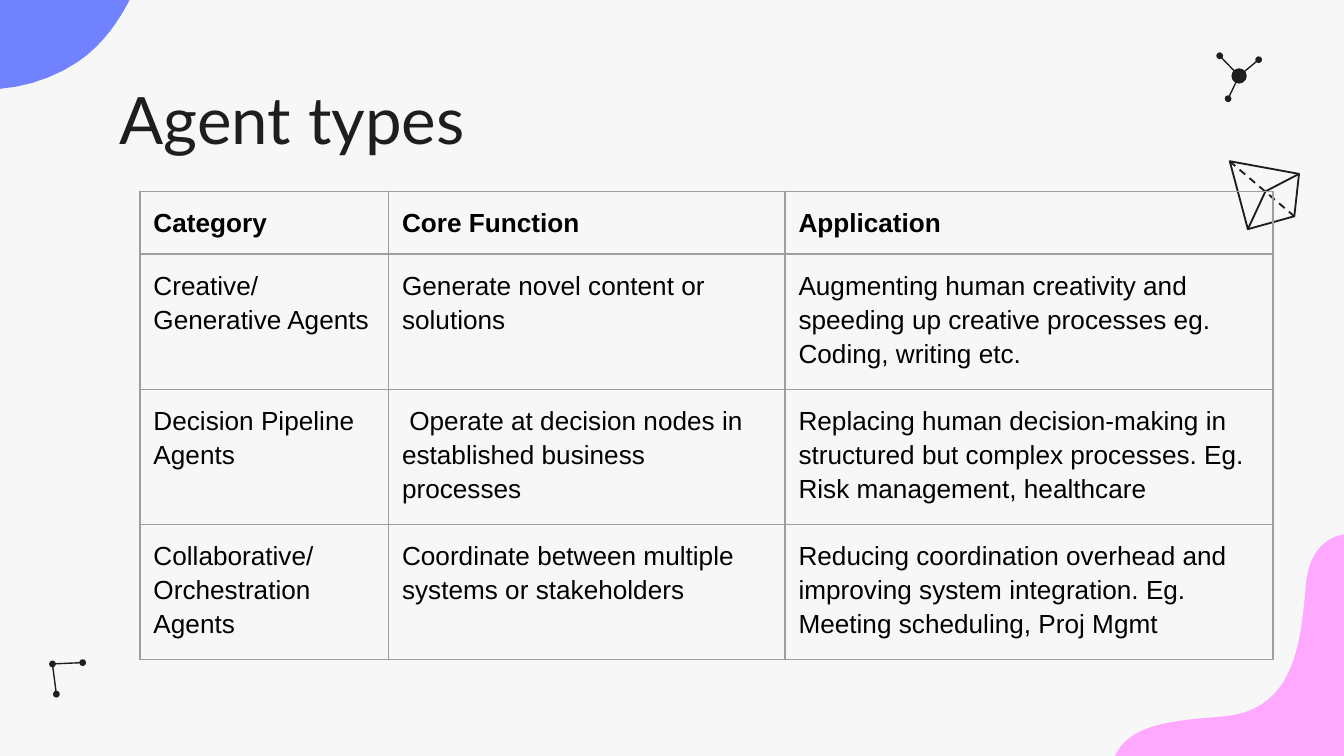
from lxml.etree import SubElement
from pptx import Presentation
from pptx.dml.color import RGBColor
from pptx.enum.dml import MSO_LINE
from pptx.enum.shapes import MSO_CONNECTOR as Connector, MSO_SHAPE as Preset
from pptx.oxml import parse_xml
from pptx.oxml.ns import nsdecls, qn
from pptx.util import Pt

WIDTH, HEIGHT = 720, 405
TITLE_FONT, BODY_FONT = "Lato", "Arial"
PAPER, INK, BLACK, GRID = "F7F7F7", "1F1E1E", "000000", "9E9E9E"
PINK, BLUE = "FFA8FF", "7082FF"

# Blob outline: a start point, then cubic curves (two controls and an end)
BLOB_START = (780.5, 367.9)
BLOB_CURVES = [
    [(779, 339.8), (770.4, 313.9), (755.3, 300.2)],
    [(728.6, 276.5), (702.7, 283.7), (699.8, 311.8)],
    [(697, 340.6), (695.5, 380.2), (655.9, 383.8)],
    [(620.6, 386.6), (592.6, 388.8), (594.7, 423.4)],
    [(594.7, 428.4), (595.4, 434.2), (597.6, 440.6)],
    [(609.8, 488.2), (685.4, 518.4), (737.3, 483.8)],
    [(769, 462.2), (783.4, 411.8), BLOB_START],
]
BLUE_SHIFT = (-695.5, -450.7)

COLUMN_WIDTHS = [133.2, 212.4, 261.4]
ROW_HEIGHTS = [32, 68, 68, 68]
AGENTS = [
    ["Category", "Core Function", "Application"],
    ["Creative/Generative Agents",
     "Generate novel content or solutions",
     "Augmenting human creativity and speeding up creative processes eg. "
     "Coding, writing etc."],
    ["Decision Pipeline Agents",
     " Operate at decision nodes in established business processes",
     "Replacing human decision-making in structured but complex processes. "
     "Eg. Risk management, healthcare"],
    ["Collaborative/Orchestration Agents",
     "Coordinate between multiple systems or stakeholders",
     "Reducing coordination overhead and improving system integration. "
     "Eg. Meeting scheduling, Proj Mgmt"],
]


def color(value):
    return RGBColor.from_string(value)


def write(frame, text, *, font=BODY_FONT, size=14, ink=BLACK, bold=False, spacing=1.0):
    frame.word_wrap = True
    para = frame.paragraphs[0]
    para.line_spacing = spacing
    span = para.add_run()
    span.text = text
    span.font.name, span.font.size, span.font.bold = font, Pt(size), bold
    span.font.color.rgb = color(ink)


def trace(start, curves, shift=(0, 0), steps=20):
    """Turn a chain of cubic curves into a list of points, moved by shift."""
    points = [start]
    for first, second, end in curves:
        origin = points[-1]
        for step in range(1, steps + 1):
            t = step / steps
            weights = ((1 - t) ** 3, 3 * t * (1 - t) ** 2, 3 * t * t * (1 - t), t ** 3)
            anchors = (origin, first, second, end)
            points.append(tuple(sum(w * a[axis] for w, a in zip(weights, anchors))
                                for axis in (0, 1)))
    return [(x + shift[0], y + shift[1]) for x, y in points]


class Painter:
    """Holds the ink colour and the slide being drawn."""

    def __init__(self, page, ink=INK):
        self.page, self.shapes, self.ink = page, page.shapes, ink

    def background(self, fill):
        self.page.background.fill.solid()
        self.page.background.fill.fore_color.rgb = color(fill)

    def paint(self, shape, fill=None, weight=None):
        shape.shadow.inherit = False
        if fill:
            shape.fill.solid()
            shape.fill.fore_color.rgb = color(fill)
        else:
            shape.fill.background()
        if weight:
            shape.line.color.rgb = color(self.ink)
            shape.line.width = Pt(weight)
        else:
            shape.line.fill.background()

    def outline(self, points, closed=True, **style):
        corners = [(Pt(x), Pt(y)) for x, y in points]
        builder = self.shapes.build_freeform(*corners[0], scale=1.0)
        builder.add_line_segments(corners[1:], close=closed)
        self.paint(builder.convert_to_shape(), **style)

    def dot(self, center, size=3.6):
        left, top = (Pt(value - size / 2) for value in center)
        self.paint(self.shapes.add_shape(Preset.OVAL, left, top, Pt(size), Pt(size)),
                   fill=self.ink)

    def line(self, start, end, weight=0.75, dashed=False):
        ends = [Pt(value) for value in (*start, *end)]
        line = self.shapes.add_connector(Connector.STRAIGHT, *ends)
        line.line.color.rgb = color(self.ink)
        line.line.width = Pt(weight)
        if dashed:
            line.line.dash_style = MSO_LINE.DASH
        SubElement(line._element.spPr, qn("a:effectLst"))

    def star(self, hub, nodes, hub_size=3.6):
        """Draw a hub dot joined by lines to its node dots."""
        for node in nodes:
            self.line(hub, node)
            self.dot(node)
        self.dot(hub, hub_size)

    def text(self, left, top, width, height, text, **style):
        box = self.shapes.add_textbox(Pt(left), Pt(top), Pt(width), Pt(height))
        frame = box.text_frame
        frame.margin_left = frame.margin_right = Pt(7.2)
        frame.margin_top = frame.margin_bottom = Pt(7.2)
        write(frame, text, **style)

    def table(self, left, top, widths, heights, rows):
        table = self.shapes.add_table(len(rows), len(widths), Pt(left), Pt(top),
                                      Pt(sum(widths)), Pt(sum(heights))).table
        table.first_row = table.horz_banding = False
        for column, width in zip(table.columns, widths):
            column.width = Pt(width)
        for row, height in zip(table.rows, heights):
            row.height = Pt(height)
        for r, texts in enumerate(rows):
            for c, text in enumerate(texts):
                cell = table.cell(r, c)
                cell.margin_left = cell.margin_right = Pt(7.2)
                cell.margin_top = cell.margin_bottom = Pt(7.2)
                cell.fill.background()
                self.border(cell)
                write(cell.text_frame, text, bold=r == 0, spacing=1.15)

    def border(self, cell, weight=0.75):
        properties = cell._tc.get_or_add_tcPr()
        for index, side in enumerate("LRTB"):
            properties.insert(index, parse_xml(
                f'<a:ln{side} {nsdecls("a")} w="{Pt(weight)}"><a:solidFill>'
                f'<a:srgbClr val="{GRID}"/></a:solidFill></a:ln{side}>'))


def main():
    deck = Presentation()
    deck.slide_width, deck.slide_height = Pt(WIDTH), Pt(HEIGHT)
    painter = Painter(deck.slides.add_slide(deck.slide_layouts[6]))
    painter.background(PAPER)

    painter.outline(trace(BLOB_START, BLOB_CURVES), fill=PINK)
    painter.outline(trace(BLOB_START, BLOB_CURVES, BLUE_SHIFT), fill=BLUE)

    painter.star((663.8, 40.7), [(653.4, 29.9), (674.3, 32), (657.9, 52.9)], hub_size=8.2)
    painter.star((28.1, 355.7), [(44.3, 355), (30.2, 371.9)])

    tip, right, lower, bottom = crystal = [
        (658.8, 86.4), (695.9, 93.2), (693.4, 115.9), (668.5, 122.8)]
    painter.outline(crystal, weight=1)
    painter.outline([right, (677.9, 102.6), bottom], closed=False, weight=1)
    painter.line(tip, lower, weight=1, dashed=True)

    painter.text(57, 35.3, 607, 45.4, "Agent types", font=TITLE_FONT, size=35, ink=INK)
    painter.table(75, 102.4, COLUMN_WIDTHS, ROW_HEIGHTS, AGENTS)
    deck.save("out.pptx")


if __name__ == "__main__":
    main()
